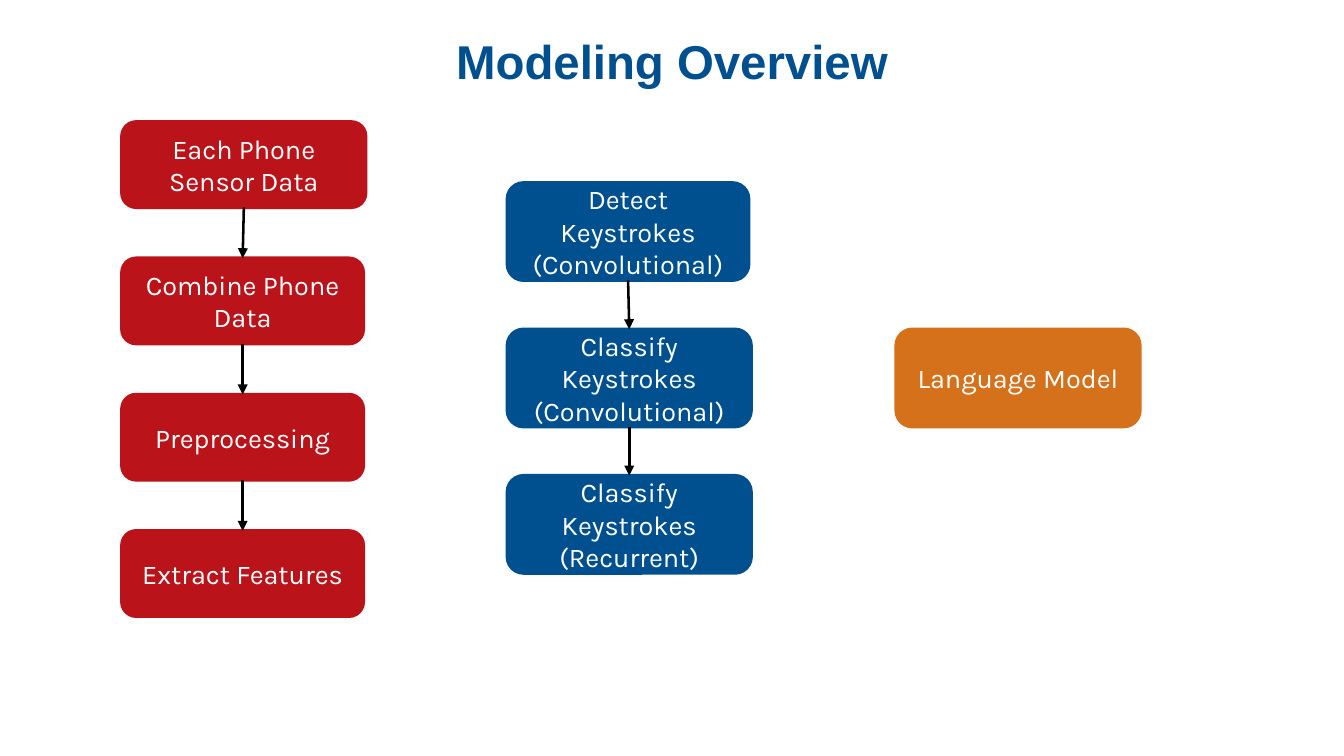
from lxml import etree
from pptx import Presentation
from pptx.dml.color import RGBColor
from pptx.enum.shapes import MSO_CONNECTOR, MSO_SHAPE
from pptx.enum.text import MSO_ANCHOR, PP_ALIGN
from pptx.oxml.ns import qn
from pptx.util import Cm, Pt

ROUNDED = MSO_SHAPE.ROUNDED_RECTANGLE
STRAIGHT = MSO_CONNECTOR.STRAIGHT
MIDDLE = MSO_ANCHOR.MIDDLE
CENTER = PP_ALIGN.CENTER
BOTTOM_SIDE, TOP_SIDE = 2, 0

COLORS = {
    "red": "BA131A",
    "blue": "00508F",
    "orange": "D4711A",
    "white": "FFFFFF",
    "black": "000000",
}


def rgb(name):
    return RGBColor.from_string(COLORS[name])


def write(sp, text, size=16, font="Karla", color="white", bold=False):
    """Put one centred paragraph of text into a shape."""
    tf = sp.text_frame
    tf.word_wrap = True
    tf.vertical_anchor = MIDDLE
    p = tf.paragraphs[0]
    p.alignment = CENTER
    r = p.add_run()
    r.text = text
    r.font.size = Pt(size)
    r.font.name = font
    r.font.bold = bold
    r.font.color.rgb = rgb(color)


prs = Presentation()
prs.slide_width, prs.slide_height = Cm(28), Cm(15.75)
s = prs.slides.add_slide(prs.slide_layouts[6])

title = s.shapes.add_textbox(0, 0, prs.slide_width, Cm(2.54))
write(title, "Modeling Overview", size=28, font="Arial", color="blue", bold=True)

# Each column: colour, left, top, box height, pitch, (text, width) of its boxes
columns = [
    ("red", 2.54, 2.54, 1.78, 2.84, [
        ("Each Phone Sensor Data", 5.08),
        ("Combine Phone Data", 5.03),
        ("Preprocessing", 5.03),
        ("Extract Features", 5.03),
    ]),
    ("blue", 10.57, 3.81, 2.03, 3.05, [
        ("Detect Keystrokes (Convolutional)", 5.03),
        ("Classify Keystrokes (Convolutional)", 5.08),
        ("Classify Keystrokes (Recurrent)", 5.08),
    ]),
    ("orange", 18.67, 6.86, 2.03, 3.05, [("Language Model", 5.08)]),
]

for color, left, top, height, pitch, steps in columns:
    boxes = []
    for i, (text, width) in enumerate(steps):
        sp = s.shapes.add_shape(
            ROUNDED, Cm(left), Cm(top + i * pitch), Cm(width), Cm(height))
        sp.shadow.inherit = False
        sp.fill.solid()
        sp.fill.fore_color.rgb = rgb(color)
        sp.line.color.rgb = rgb(color)
        sp.line.width = Pt(2)
        write(sp, text)
        boxes.append(sp)

    for upper, lower in zip(boxes, boxes[1:]):
        arrow = s.shapes.add_connector(STRAIGHT, 0, 0, 0, 0)
        arrow.begin_connect(upper, BOTTOM_SIDE)
        arrow.end_connect(lower, TOP_SIDE)
        arrow.line.color.rgb = rgb("black")
        arrow.line.width = Pt(1.5)
        etree.SubElement(arrow.line._get_or_add_ln(), qn("a:tailEnd"), type="triangle")
        etree.SubElement(arrow._element.spPr, qn("a:effectLst"))

prs.save("out.pptx")
